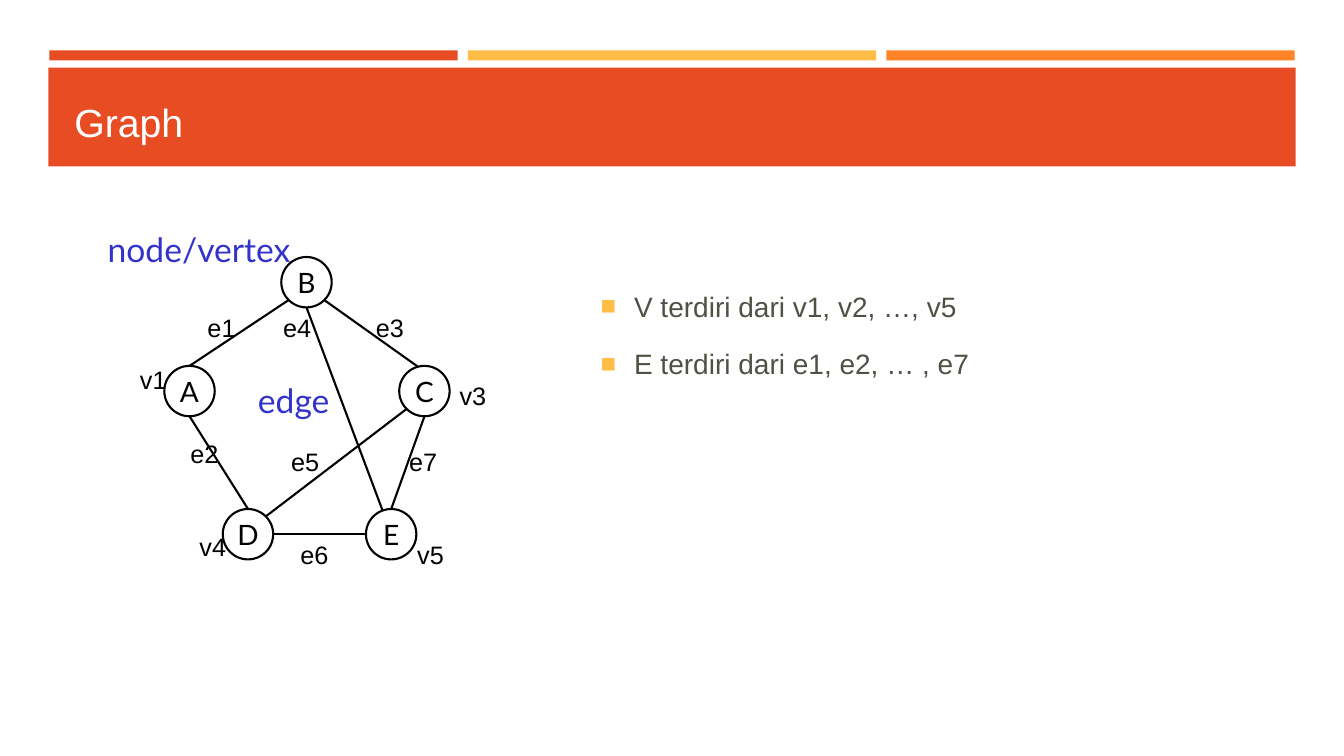
"""Build a slide that introduces a graph with its vertices and edges."""
import math

import lxml.etree
import pptx
import pptx.dml.color
import pptx.enum.shapes
import pptx.enum.text
import pptx.oxml.ns
import pptx.util

Inches, Pt = pptx.util.Inches, pptx.util.Pt
RGBColor = pptx.dml.color.RGBColor
SHAPES = pptx.enum.shapes.MSO_SHAPE
ALIGN = pptx.enum.text.PP_ALIGN
ANCHOR = pptx.enum.text.MSO_ANCHOR

RED = RGBColor(0xE8, 0x4C, 0x22)
GOLD = RGBColor(0xFF, 0xBD, 0x47)
ORANGE = RGBColor(0xFF, 0x84, 0x27)
WHITE = RGBColor(0xFF, 0xFF, 0xFF)
BLACK = RGBColor(0, 0, 0)
BLUE = RGBColor(0x33, 0x33, 0xCC)
OLIVE = RGBColor(0x50, 0x50, 0x46)

TITLE = "Graph"
STRIPES = [RED, GOLD, ORANGE]
BULLETS = ["V terdiri dari v1, v2, …, v5", "E terdiri dari e1, e2, … , e7"]
NODE_CENTRES = {
    "B": (3.04, 2.8),
    "A": (1.88, 3.88),
    "C": (4.21, 3.88),
    "D": (2.46, 5.3),
    "E": (3.88, 5.3),
}
EDGES = [
    ("B", 225, "A", 90),
    ("A", 270, "D", 90),
    ("D", 45, "C", 225),
    ("D", 0, "E", 180),
    ("C", 270, "E", 90),
    ("B", 315, "C", 105),
    ("B", 270, "E", 110),
]
TERMS = [("node/vertex", 0.97, 2.22, 2.16), ("edge", 2.46, 3.72, 1.25)]
LABELS = {
    "e1": (1.96, 3.05), "e3": (3.63, 3.05), "e4": (2.71, 3.05),
    "e7": (3.96, 4.38), "e5": (2.79, 4.38), "e2": (1.79, 4.3),
    "e6": (2.88, 5.3), "v1": (1.29, 3.57), "v4": (1.88, 5.22),
    "v5": (4.04, 5.3), "v3": (4.46, 3.72),
}
RADIUS = 0.25
TITLE_FONT = {"name": "Arial", "size": Pt(28)}
BULLET_FONT = {"name": "Arial", "size": Pt(20)}
NODE_FONT = {"name": "Lato", "size": Pt(20)}
TERM_FONT = {"name": "Lato", "size": Pt(24)}
LABEL_FONT = {"name": "Arial", "size": Pt(18)}


def write(paragraph, words, font, color):
    run = paragraph.add_run()
    run.text = words
    for key, value in font.items():
        setattr(run.font, key, value)
    run.font.color.rgb = color


def add_bar(slide, left, top, width, height, color):
    bar = slide.shapes.add_shape(SHAPES.RECTANGLE, *map(Inches, (left, top, width, height)))
    bar.shadow.inherit = False
    bar.fill.solid()
    bar.fill.fore_color.rgb = color
    bar.line.fill.background()


def add_text(slide, box, lines, font, color, anchor=ANCHOR.TOP):
    frame = slide.shapes.add_textbox(*map(Inches, box)).text_frame
    frame.word_wrap = True
    frame.vertical_anchor = anchor
    for index, words in enumerate(lines):
        paragraph = frame.paragraphs[0] if index == 0 else frame.add_paragraph()
        write(paragraph, words, font, color)
    return frame.paragraphs


def add_bullet(paragraph):
    properties = paragraph._p.get_or_add_pPr()
    properties.set("marL", str(Inches(0.33)))
    properties.set("indent", str(-Inches(0.33)))
    qn = pptx.oxml.ns.qn
    color = lxml.etree.SubElement(properties, qn("a:buClr"))
    lxml.etree.SubElement(color, qn("a:srgbClr"), val=str(GOLD))
    lxml.etree.SubElement(properties, qn("a:buSzPct"), val="92000")
    lxml.etree.SubElement(properties, qn("a:buFont"), typeface="Arial")
    lxml.etree.SubElement(properties, qn("a:buChar"), char="■")


def add_node(slide, letter, x, y):
    node = slide.shapes.add_shape(
        SHAPES.OVAL, Inches(x - RADIUS), Inches(y - RADIUS), Inches(2 * RADIUS), Inches(2 * RADIUS))
    node.shadow.inherit = False
    node.fill.background()
    node.line.color.rgb = BLACK
    node.line.width = Pt(1.5)
    frame = node.text_frame
    frame.word_wrap = False
    frame.vertical_anchor = ANCHOR.MIDDLE
    frame.paragraphs[0].alignment = ALIGN.CENTER
    write(frame.paragraphs[0], letter, NODE_FONT, BLACK)


def rim_point(letter, degrees):
    x, y = NODE_CENTRES[letter]
    angle = math.radians(degrees)
    return Inches(x + RADIUS * math.cos(angle)), Inches(y - RADIUS * math.sin(angle))


def add_edge(slide, start, start_angle, end, end_angle):
    edge = slide.shapes.add_connector(
        pptx.enum.shapes.MSO_CONNECTOR.STRAIGHT,
        *rim_point(start, start_angle), *rim_point(end, end_angle))
    edge.line.color.rgb = BLACK
    edge.line.width = Pt(1.5)
    lxml.etree.SubElement(edge._element.spPr, pptx.oxml.ns.qn("a:effectLst"))


def main():
    deck = pptx.Presentation()
    deck.slide_width, deck.slide_height = Inches(13.33), Inches(7.5)
    slide = deck.slides.add_slide(deck.slide_layouts[6])

    for column, color in enumerate(STRIPES):
        add_bar(slide, 0.49 + 4.15 * column, 0.5, 4.05, 0.1, color)
    add_bar(slide, 0.48, 0.67, 12.37, 0.98, RED)
    add_text(slide, (0.64, 0.77, 12.06, 0.88), [TITLE], TITLE_FONT, WHITE, ANCHOR.MIDDLE)

    points = add_text(slide, (5.86, 2.82, 6.32, 2.32), BULLETS, BULLET_FONT, OLIVE)
    for index, point in enumerate(points):
        add_bullet(point)
        point.space_before = Pt(11 if index else 0)
        point.space_after = Pt(6)

    for letter, centre in NODE_CENTRES.items():
        add_node(slide, letter, *centre)
    for edge in EDGES:
        add_edge(slide, *edge)
    for term, left, top, width in TERMS:
        add_text(slide, (left, top, width, 0.5), [term], TERM_FONT, BLUE)
    for label, (left, top) in LABELS.items():
        add_text(slide, (left, top, 0.5, 0.4), [label], LABEL_FONT, BLACK)

    deck.save("out.pptx")


if __name__ == "__main__":
    main()
